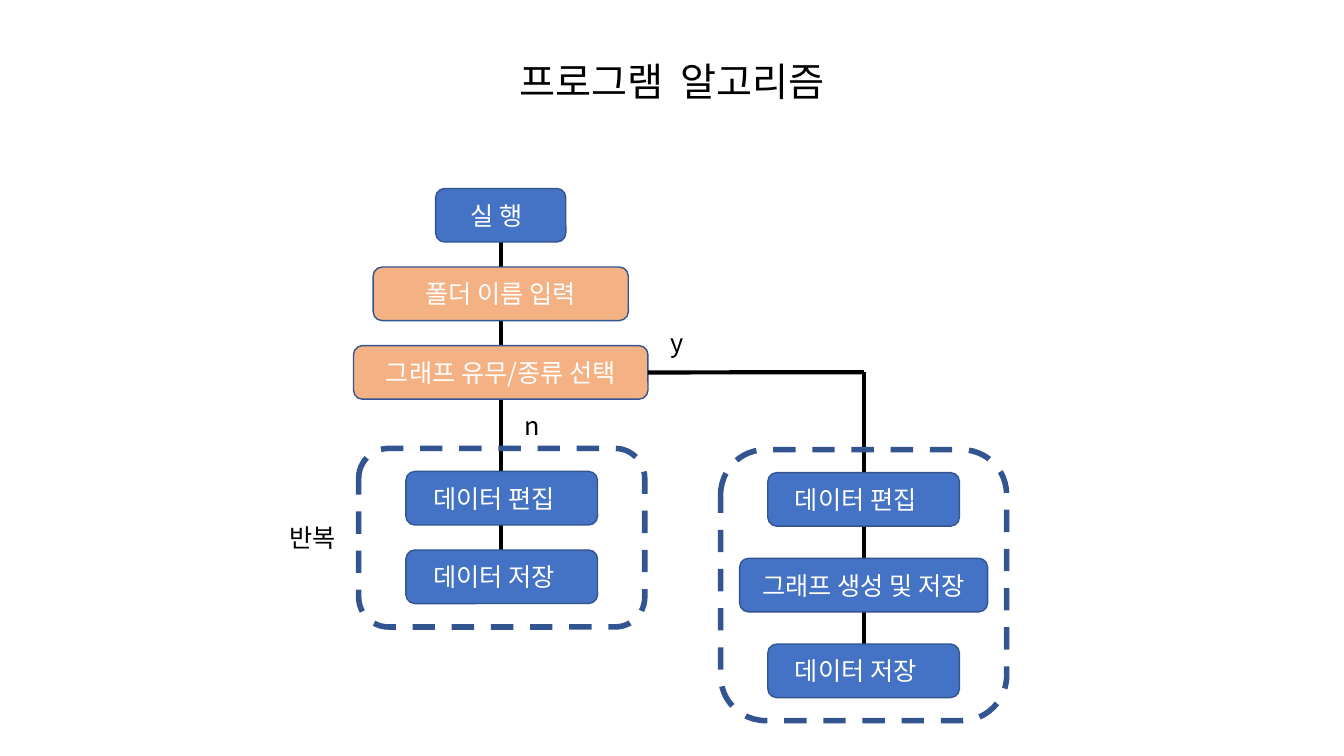
"""Builds a one-slide flowchart of a program algorithm."""
import lxml.etree
import pptx
import pptx.dml.color
import pptx.enum.dml
import pptx.enum.shapes
import pptx.enum.text
import pptx.oxml.ns
import pptx.util

Cm = pptx.util.Cm
Pt = pptx.util.Pt
RGBColor = pptx.dml.color.RGBColor
Align = pptx.enum.text.PP_ALIGN
Anchor = pptx.enum.text.MSO_ANCHOR

BLUE = RGBColor(0x44, 0x72, 0xC4)
ORANGE = RGBColor(0xF4, 0xB1, 0x83)
NAVY = RGBColor(0x32, 0x54, 0x91)
BLACK = RGBColor(0, 0, 0)
WHITE = RGBColor(255, 255, 255)
FONT = "Noto Sans CJK KR"
STEP_HEIGHT = 1.35


def write(frame, text, size=18, color=BLACK, align=Align.LEFT, anchor=Anchor.TOP):
    """Put formatted text into a text frame."""
    frame.word_wrap = True
    frame.vertical_anchor = anchor
    paragraph = frame.paragraphs[0]
    paragraph.alignment = align
    run = paragraph.add_run()
    run.text = text
    run.font.size = Pt(size)
    run.font.name = FONT
    run.font.color.rgb = color
    east_asian = lxml.etree.SubElement(run.font._element, pptx.oxml.ns.qn("a:ea"))
    east_asian.set("typeface", FONT)


def add_label(slide, left, top, width, height, text, **text_format):
    """Add a free-standing label and return its text frame."""
    label = slide.shapes.add_textbox(Cm(left), Cm(top), Cm(width), Cm(height)).text_frame
    write(label, text, **text_format)
    return label


def add_rounded(slide, left, top, width, height, line_width):
    """Add an outlined rounded rectangle without a shadow."""
    rounded = slide.shapes.add_shape(
        pptx.enum.shapes.MSO_SHAPE.ROUNDED_RECTANGLE, Cm(left), Cm(top), Cm(width), Cm(height)
    )
    rounded.shadow.inherit = False
    rounded.line.color.rgb = NAVY
    rounded.line.width = Pt(line_width)
    return rounded


def add_flow_line(slide, x1, y1, x2, y2):
    """Add a thick black straight line."""
    flow_line = slide.shapes.add_connector(
        pptx.enum.shapes.MSO_CONNECTOR.STRAIGHT, Cm(x1), Cm(y1), Cm(x2), Cm(y2)
    )
    flow_line.line.color.rgb = BLACK
    flow_line.line.width = Pt(3)
    lxml.etree.SubElement(flow_line._element.spPr, pptx.oxml.ns.qn("a:effectLst"))
    return flow_line


def add_steps(slide, axis, top, pitch, steps):
    """Stack steps centred on an axis and return their shapes."""
    shapes = []
    for index, (text, width, fill, extra_inset) in enumerate(steps):
        step = add_rounded(slide, axis - width / 2, top + index * pitch, width, STEP_HEIGHT, 1)
        step.fill.solid()
        step.fill.fore_color.rgb = fill
        step.text_frame.margin_right = Cm(0.25 + extra_inset)
        write(step.text_frame, text, color=WHITE, align=Align.CENTER, anchor=Anchor.MIDDLE)
        shapes.append(step)
    return shapes


def add_loop(slide, left, top, width, height, pitch, steps):
    """Add a dashed loop frame with its steps inside."""
    add_steps(slide, left + width / 2, top + 0.58, pitch, steps)
    loop = add_rounded(slide, left, top, width, height, 4)
    loop.fill.background()
    loop.line.dash_style = pptx.enum.dml.MSO_LINE.DASH


def add_title(slide, left, top, width, height):
    """Add the title at the bottom of its box."""
    title = add_label(slide, left, top, width, height, "프로그램  알고리즘",
                      size=28, align=Align.CENTER, anchor=Anchor.BOTTOM)
    title.margin_bottom = 0


def add_flowchart(slide, left, top):
    """Add the flowchart with its two branches."""
    trunk = left + 5.58
    branch = left + 14.73
    fork = top + 4.63
    edit = ("데이터 편집", 4.83, BLUE, 0.4)
    save = ("데이터 저장", 4.83, BLUE, 0.4)
    entry = [
        ("실 행", 3.28, BLUE, 0.2),
        ("폴더 이름 입력", 6.43, ORANGE, 0),
        ("그래프 유무/종류 선택", 7.42, ORANGE, 0),
    ]

    add_flow_line(slide, trunk, top + 0.56, trunk, top + 9.5)
    add_flow_line(slide, branch, fork, branch, top + 12.32)
    choice = add_steps(slide, trunk, top, 1.98, entry)[-1]
    add_flow_line(slide, trunk, fork, branch, fork).begin_connect(choice, 3)

    add_loop(slide, left + 2, top + 6.55, 7.21, 4.5, 1.98, [edit, save])
    add_loop(slide, left + 11.12, top + 6.58, 7.21, 6.83, 2.16,
             [edit, ("그래프 생성 및 저장", 6.25, BLUE, 0), save])

    for text, x, y, width in (("y", 9.6, 3.38, 1.24), ("n", 5.94, 5.46, 1.24), ("반복", 0, 8.28, 2)):
        add_label(slide, left + x, top + y, width, 1.04, text)


def main():
    """Build and save the presentation."""
    deck = pptx.Presentation()
    deck.slide_width = Cm(33.87)
    deck.slide_height = Cm(19.05)
    slide = deck.slides.add_slide(deck.slide_layouts[6])
    add_flowchart(slide, 7.04, 4.75)
    add_title(slide, 0, 0, 33.87, 2.64)
    deck.save("out.pptx")


if __name__ == "__main__":
    main()
